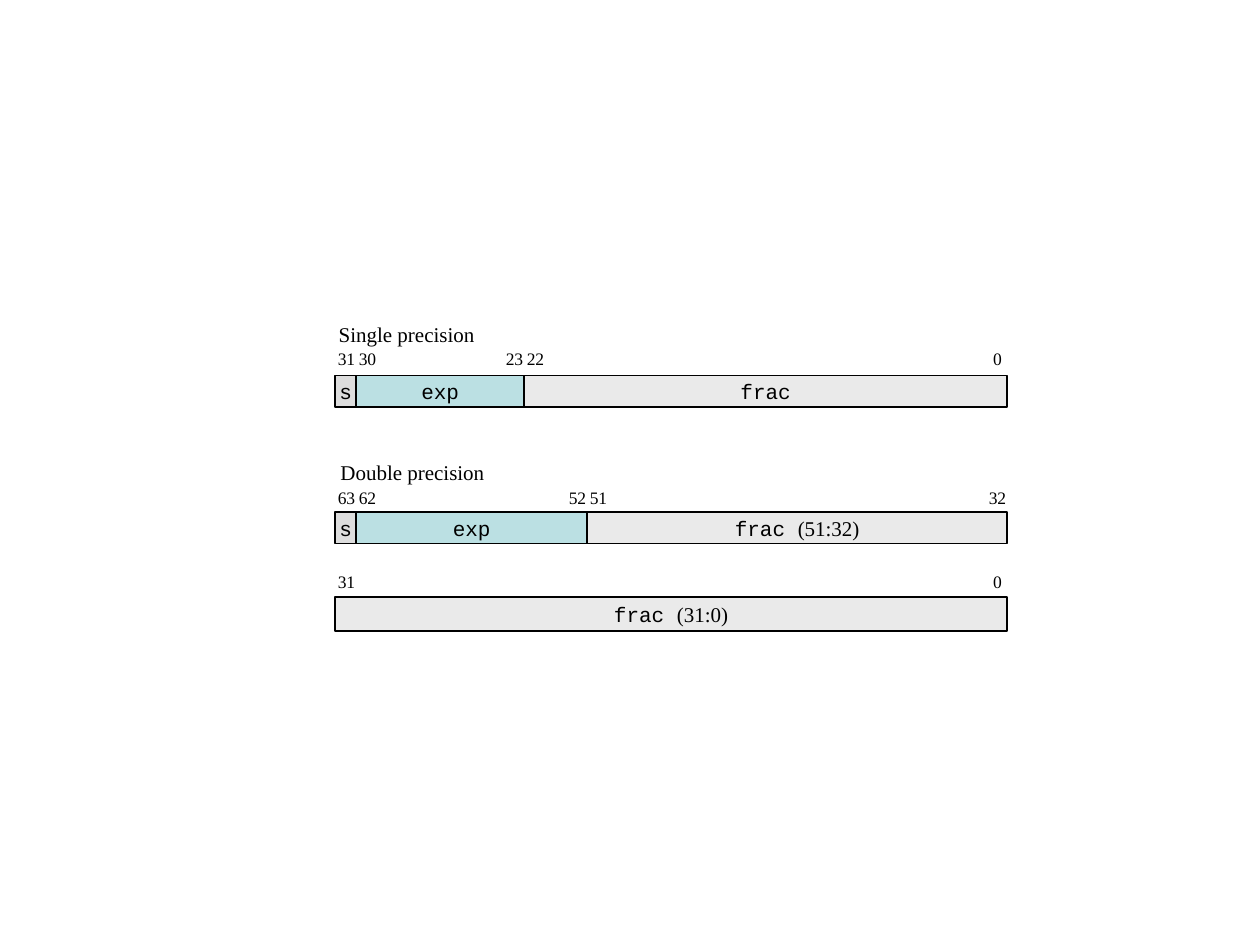
from pptx import Presentation
from pptx.dml.color import RGBColor
from pptx.enum.shapes import MSO_SHAPE
from pptx.enum.text import MSO_ANCHOR, MSO_AUTO_SIZE, PP_ALIGN
from pptx.util import Pt

HUES = {"ink": "000000", "sign": "DDDDDD", "exp": "BBE0E3", "frac": "EAEAEA"}
SERIF, MONO = "Times New Roman", "Courier New"
BIT = 12
LEFT = 191.5


def hue(name):
    return RGBColor.from_string(HUES[name])


def write(frame, text, size=12, font=SERIF, tail="", align=PP_ALIGN.CENTER,
          anchor=MSO_ANCHOR.MIDDLE, fit=MSO_AUTO_SIZE.NONE):
    frame.auto_size = fit
    frame.word_wrap = False
    frame.vertical_anchor = anchor
    line = frame.paragraphs[0]
    line.alignment = align
    for part, face in ((text, font), (tail, SERIF)):
        if part:
            run = line.add_run()
            run.text = part
            run.font.size = Pt(size)
            run.font.name = face
            run.font.color.rgb = hue("ink")


class Sheet:
    """Draws bit layouts on one slide in a shared style."""

    def __init__(self, slide):
        self.slide = slide

    def box(self, x, y, wide, high):
        area = (Pt(n) for n in (x, y, wide, high))
        return self.slide.shapes.add_textbox(*area).text_frame

    def title(self, text, x, y, wide):
        write(self.box(x, y, wide, 21.8), text, align=PP_ALIGN.LEFT,
              anchor=MSO_ANCHOR.TOP, fit=MSO_AUTO_SIZE.SHAPE_TO_FIT_TEXT)

    def label(self, bit, slot, y):
        write(self.box(LEFT + 0.5 + slot * BIT, y, BIT, 18), str(bit), size=10)

    def field(self, home, x, y, wide, high, fill, text, tail):
        area = (Pt(n) for n in (x, y, wide, high))
        rect = home.add_shape(MSO_SHAPE.RECTANGLE, *area)
        rect.shadow.inherit = False
        rect.fill.solid()
        rect.fill.fore_color.rgb = hue(fill)
        rect.line.color.rgb = hue("ink")
        rect.line.width = Pt(0.75)
        write(rect.text_frame, text, font=MONO, tail=tail)

    def word(self, top, marks, y, high, fields):
        home = self.slide.shapes
        if len(fields) > 1:
            home = home.add_group_shape().shapes
        slot = 0
        for bits, fill, text, tail in fields:
            self.field(home, LEFT + slot * BIT, y, bits * BIT, high,
                       fill, text, tail)
            last = slot + bits - 1
            for end in sorted({slot, last}):
                self.label(top - end, end, marks)
            slot += bits


def main():
    deck = Presentation()
    deck.slide_width, deck.slide_height = Pt(720), Pt(540)
    sheet = Sheet(deck.slides.add_slide(deck.slide_layouts[6]))
    sign = (1, "sign", "s", "")

    sheet.title("Single precision", 186.5, 180, 92)
    sheet.word(31, 195.8, 214.6, 18, [
        sign, (8, "exp", "exp", ""), (23, "frac", "frac", "")])

    sheet.title("Double precision", 187.5, 259.2, 96.5)
    sheet.word(63, 275, 292.5, 18, [
        sign, (11, "exp", "exp", ""), (20, "frac", "frac ", "(51:32)")])
    sheet.word(31, 323.3, 341.2, 19.4, [(32, "frac", "frac ", "(31:0)")])

    deck.save("out.pptx")


if __name__ == "__main__":
    main()
